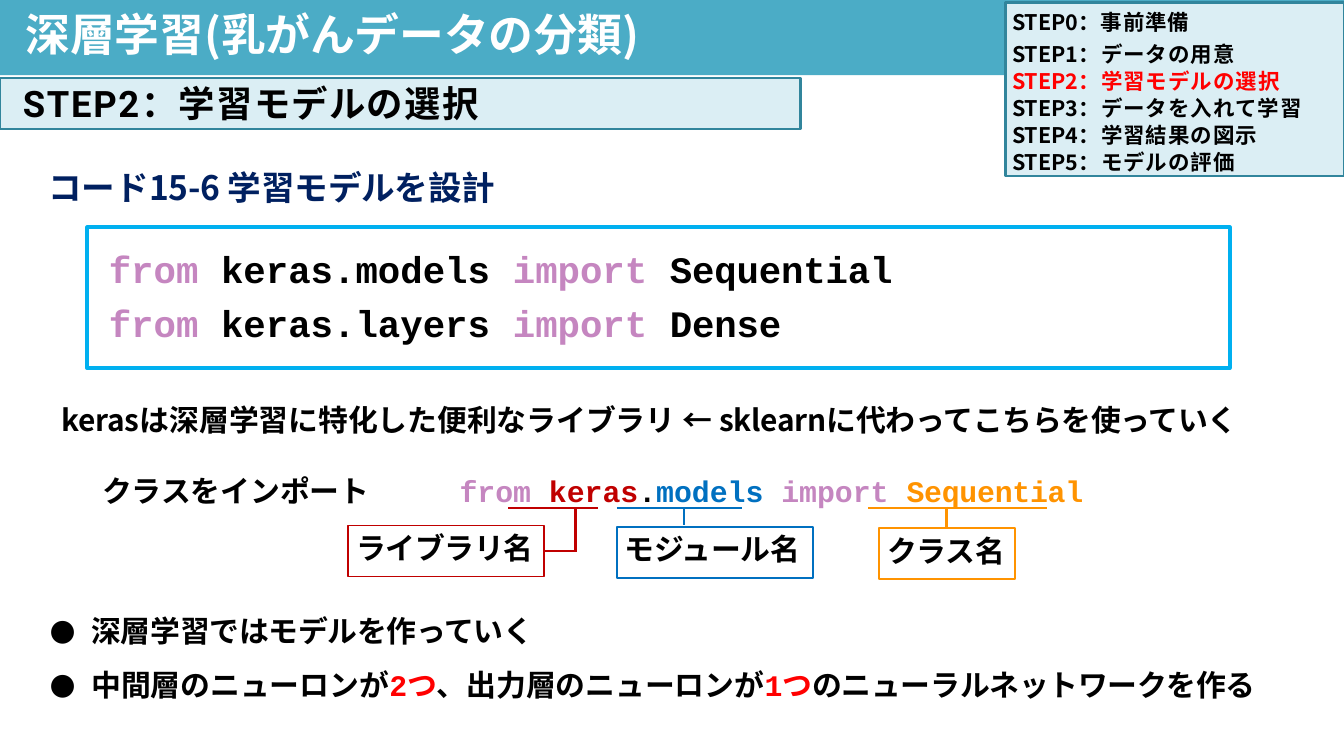
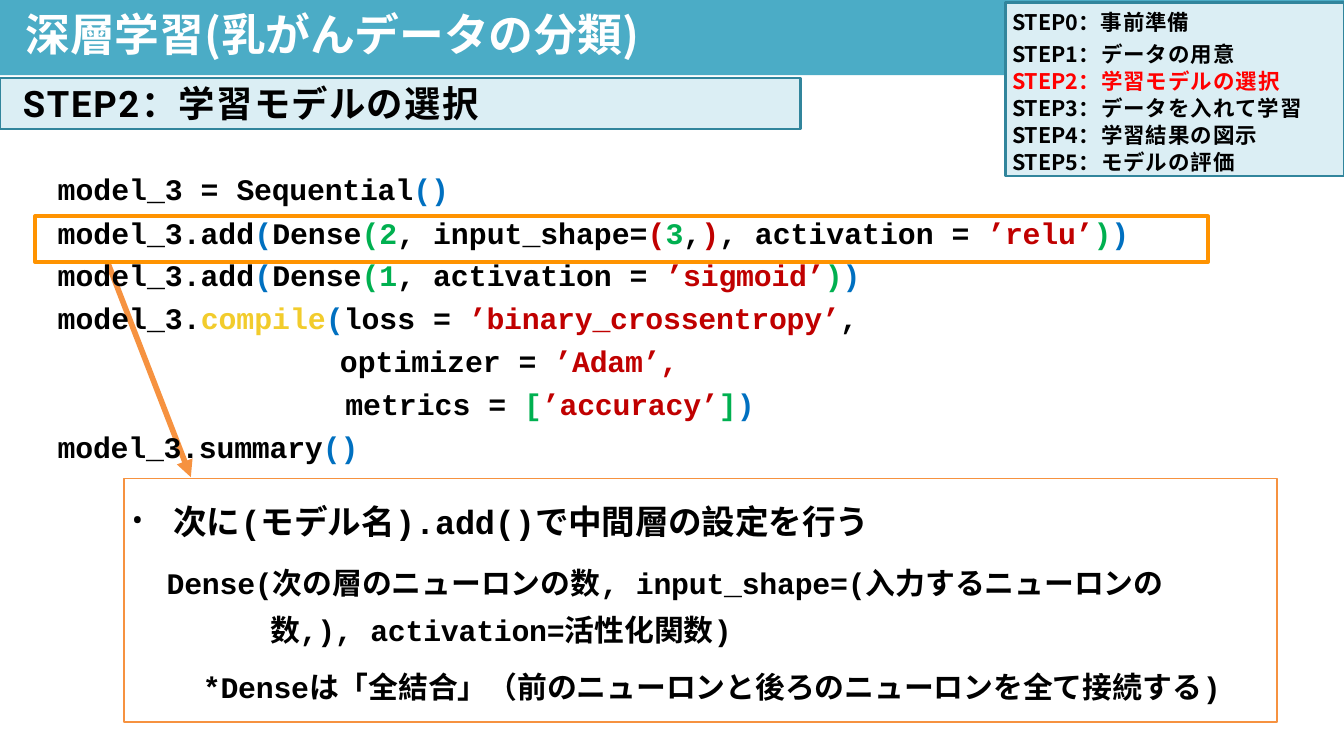
from copy import deepcopy
from typing import NamedTuple

from lxml import etree
from pptx import Presentation
from pptx import util as u
from pptx.dml.color import RGBColor
from pptx.enum import shapes, text
from pptx.oxml.ns import qn

# Shared style: 100 px to the inch
PX = 9144
SANS, MONO, HEADING = "Noto Sans CJK JP", "Courier New", "Roboto"
COLORS = {
    "ink": "000000", "white": "FFFFFF", "navy": "002060", "red": "FF0000",
    "band": "4BACC6", "pale": "DBEEF4", "teal": "31859C", "sky": "00B0F0",
    "keyword": "C586C0", "crimson": "C00000", "blue": "0070C0",
    "amber": "FF9300", "orange": "F69240", "green": "00B050", "yellow": "F2CC2C",
}
TIGHT = -0.1
STEPS = ("事前準備", "データの用意", "学習モデルの選択", "データを入れて学習",
         "学習結果の図示", "モデルの評価")
CURRENT_STEP = 2


class Run(NamedTuple):
    words: str
    color: str = "ink"
    font: str = SANS
    spacing: float = 0  # points


class Para(NamedTuple):
    runs: list[Run]
    size: float = 16
    margin: int = 1
    indent: int = 0
    before: float = 1
    line: float | u.Length | None = None
    bullet: str = ""
    tab: int = 0


class Panel(NamedTuple):
    left: int
    top: int
    width: int
    height: int
    paras: list[Para] = []
    inset: int = 1
    outline: str = ""
    weight: float = 1
    fill: str = ""


class Line(NamedTuple):
    x1: int
    y1: int
    x2: int
    y2: int
    color: str
    weight: float = 1.5
    arrow: bool = False


class Label(NamedTuple):
    words: str
    color: str
    left: int
    top: int
    width: int


def px(length: int) -> u.Emu:
    return u.Emu(length * PX)


def rgb(name: str) -> RGBColor:
    return RGBColor.from_string(COLORS[name])


def code(*parts: tuple) -> list[Run]:
    """Each part is words, colour and, where needed, spacing."""
    return [Run(words, color, MONO, *spacing) for words, color, *spacing in parts]


# Text
def write_run(paragraph, run: Run, size: float) -> None:
    for words in run.words.splitlines():
        piece = paragraph.add_run()
        piece.text = words
        font = piece.font
        font.size, font.bold, font.name = u.Pt(size), True, run.font
        font.color.rgb = rgb(run.color)
        props = piece._r.rPr
        etree.SubElement(props, qn("a:ea"), typeface=SANS)
        if run.spacing:
            props.set("spc", str(round(run.spacing * 100)))
        if run.words.endswith("\n"):
            paragraph.add_line_break()
            paragraph._p[-1].append(deepcopy(props))


def write_paras(frame, paras: list[Para], inset: int) -> None:
    frame.word_wrap = True
    frame.auto_size = text.MSO_AUTO_SIZE.NONE
    frame.vertical_anchor = text.MSO_ANCHOR.TOP
    frame.margin_left = frame.margin_right = frame.margin_bottom = 0
    frame.margin_top = px(inset)
    for number, para in enumerate(paras):
        paragraph = frame.add_paragraph() if number else frame.paragraphs[0]
        props = paragraph._p.get_or_add_pPr()
        props.set("marL", str(px(para.margin)))
        props.set("indent", str(px(para.indent)))
        if para.bullet:
            etree.SubElement(props, qn("a:buFont"), typeface=HEADING)
            etree.SubElement(props, qn("a:buChar"), char=para.bullet)
        if para.tab:
            props.set("defTabSz", str(px(para.tab)))
            tabs = etree.SubElement(props, qn("a:tabLst"))
            etree.SubElement(tabs, qn("a:tab"), pos=str(px(para.tab)), algn="l")
        paragraph.alignment = text.PP_ALIGN.LEFT
        paragraph.space_before = u.Pt(para.before)
        if para.line:
            paragraph.line_spacing = para.line
        for run in para.runs:
            write_run(paragraph, run, para.size)


# Shapes
def draw_panel(slide, panel: Panel) -> None:
    area = [px(side) for side in panel[:4]]
    if panel.outline or panel.fill:
        shape = slide.shapes.add_shape(shapes.MSO_SHAPE.RECTANGLE, *area)
        shape.shadow.inherit = False
        if panel.fill:
            shape.fill.solid()
            shape.fill.fore_color.rgb = rgb(panel.fill)
        else:
            shape.fill.background()
        if panel.outline:
            shape.line.color.rgb = rgb(panel.outline)
            shape.line.width = u.Pt(panel.weight)
        else:
            shape.line.fill.background()
    else:
        shape = slide.shapes.add_textbox(*area)
    if panel.paras:
        write_paras(shape.text_frame, panel.paras, panel.inset)


def draw_line(slide, line: Line) -> None:
    connector = slide.shapes.add_connector(
        shapes.MSO_CONNECTOR.STRAIGHT, *[px(end) for end in line[:4]])
    connector.line.color.rgb = rgb(line.color)
    connector.line.width = u.Pt(line.weight)
    if line.arrow:
        etree.SubElement(connector.line._get_or_add_ln(), qn("a:tailEnd"), type="triangle")
    etree.SubElement(connector._element.spPr, qn("a:effectLst"))


# Header shared by both slides
def step_runs(number: int) -> list[Run]:
    color = "red" if number == CURRENT_STEP else "ink"
    end = "\n" if 0 < number < len(STEPS) - 1 else ""
    spacing = 0.5 if number else 0.4
    return [Run(f"STEP{number}", color), Run(f"：{STEPS[number]}{end}", color, spacing=spacing)]


def draw_header(slide) -> None:
    draw_panel(slide, Panel(0, 0, 1000, 56, fill="band"))
    title = slide.shapes.title
    title.left, title.top, title.width, title.height = px(18), px(4), px(544), px(36)
    write_paras(title.text_frame,
                [Para([Run("深層学習(乳がんデータの分類)", "white", spacing=TIGHT)], 24)], 1)
    slide.shapes._spTree.append(title._element)  # bring in front of the band

    draw_panel(slide, Panel(0, 58, 596, 38, outline="teal", weight=1.5, fill="pale"))
    heading = [Run(f"STEP{CURRENT_STEP}", font=HEADING, spacing=0.9),
               Run(f"：{STEPS[CURRENT_STEP]}", font=HEADING, spacing=0.6)]
    draw_panel(slide, Panel(16, 58, 353, 35, [Para(heading, 19.5)], 2))

    later = [run for number in range(1, len(STEPS)) for run in step_runs(number)]
    paras = [Para(runs, 11.5, 5, before=3, line=1.04) for runs in (step_runs(0), later)]
    draw_panel(slide, Panel(748, 2, 252, 129, paras, 4, "teal", 1.5, "pale"))


# Slide 1: importing the classes
def build_import_slide(slide) -> None:
    imports = code(
        ("from ", "keyword"), ("keras.models ", "ink"),
        ("import ", "keyword"), ("Sequential\n", "ink", TIGHT),
        ("from ", "keyword"), ("keras.layers ", "ink"),
        ("import ", "keyword"), ("Dense", "ink", TIGHT))
    draw_panel(slide, Panel(65, 169, 850, 105, [Para(imports, 20, 16, before=4.8, line=1.21)],
                            7, "sky", 2))
    draw_panel(slide, Panel(35, 123, 348, 33, [
        Para([Run("コード", "navy"), Run("15-6 学習モデルを設計", "navy", spacing=TIGHT)], 18)]))

    network = [Run("中間層のニューロンが"), Run("2", "red", MONO, TIGHT), Run("つ", "red"),
               Run("、出⼒層のニューロンが"), Run("1", "red", MONO, TIGHT), Run("つ", "red"),
               Run("のニューラルネットワークを作る", spacing=TIGHT)]
    draw_panel(slide, Panel(35, 441, 905, 83, [
        Para([Run("深層学習ではモデルを作っていく", spacing=TIGHT)], 16, 33, -31, 10.8, bullet="●"),
        Para(network, 16, 33, -31, 9.8, bullet="●")], 15))

    # Anatomy of the import statement
    statement = code(
        ("from ", "keyword"), ("keras", "crimson"), (".", "ink"), ("models ", "blue"),
        ("import ", "keyword"), ("Sequential", "amber", TIGHT))
    draw_panel(slide, Panel(45, 298, 901, 82, [
        Para([Run("keras", spacing=TIGHT),
              Run("は深層学習に特化した便利なライブラリ ← "),
              Run("sklearnに代わってこちらを使っていく", spacing=TIGHT)]),
        Para([Run("クラスをインポー"), Run("ト\t", spacing=-0.5), *statement],
             16, 31, before=18.9, tab=266)]))
    for label in (Label("ライブラリ名", "crimson", 259, 391, 146),
                  Label("モジュール名", "blue", 459, 392, 146),
                  Label("クラス名", "amber", 654, 393, 101)):
        draw_panel(slide, Panel(label.left, label.top, label.width, 38,
                                [Para([Run(label.words, spacing=TIGHT)], 16, 6, before=2.1)],
                                3, label.color))
    for line in (Line(378, 378, 445, 378, "crimson", 1),
                 Line(428, 379, 428, 411, "crimson"),
                 Line(428, 410, 405, 410, "crimson"),
                 Line(459, 378, 552, 378, "blue", 1),
                 Line(509, 379, 509, 391, "blue"),
                 Line(646, 378, 779, 378, "amber", 1),
                 Line(704, 377, 704, 393, "amber")):
        draw_line(slide, line)


# Slide 2: defining the model
def build_model_slide(slide) -> None:
    add_call = [Run("次に"), Run("(", "ink", MONO, TIGHT), Run("モデル名"),
                Run(").add()", "ink", MONO, TIGHT), Run("で中間層の設定を⾏う", spacing=TIGHT)]
    dense_call = [Run("Dense(", "ink", MONO, TIGHT), Run("次の層のニューロンの数"),
                  Run(", input_shape=(", "ink", MONO, TIGHT),
                  Run("⼊⼒するニューロンの\n"), Run("数"),
                  Run(",), ", "ink", MONO, -0.2), Run("activation=", "ink", MONO, TIGHT),
                  Run("活性化関数"), Run(")", "ink", MONO, -0.5)]
    dense_note = [Run("*Dense", "ink", MONO, TIGHT),
                  Run("は「全結合」（前のニューロンと後ろのニューロンを全て接続する"),
                  Run(")", "ink", MONO, -0.5)]
    draw_panel(slide, Panel(92, 356, 858, 181, [
        Para(add_call, 18, 37, -31, 12.6, bullet="•"),
        Para(dense_call, 16, 109, -77, 6.3, 1.31),
        Para(dense_note, 16, 59, before=11.8)], 17, "orange"))
    draw_line(slide, Line(80, 195, 142, 355, "orange", 3, True))

    # Code listing
    draw_panel(slide, Panel(42, 126, 297, 29, [
        Para(code(("model_3 = ", "ink"), ("Sequential", "ink", TIGHT), ("()", "blue", TIGHT)))]))
    hidden_layer = code(
        ("model_3.add", "ink"), ("(", "blue"), ("Dense", "ink"), ("(2", "green"),
        (", input_shape=", "ink"), ("(", "crimson"), ("3", "green"), (",", "ink"),
        (")", "crimson"), (", activation = ", "ink"), ("’relu’", "crimson", TIGHT),
        (")", "green", TIGHT), (")", "blue", TIGHT))
    draw_panel(slide, Panel(26, 161, 873, 34, [
        Para(hidden_layer, 16, 17, before=0, line=u.Pt(18.1))], 0, "amber", 2))
    output_layer = code(
        ("model_3.add", "ink"), ("(", "blue"), ("Dense", "ink"), ("(1", "green"),
        (", activation = ", "ink"), ("’sigmoid’", "crimson", TIGHT),
        (")", "green", TIGHT), (")\n", "blue", TIGHT),
        ("model_3.", "ink"), ("compile", "yellow"), ("(", "blue"), ("loss = ", "ink"),
        ("’binary_crossentropy’", "crimson", TIGHT), (",", "ink", TIGHT))
    options = code(
        ("optimizer = ", "ink"), ("’Adam’,\n", "crimson", TIGHT), ("metrics = ", "ink"),
        ("[", "green", TIGHT), ("’accuracy’", "crimson", TIGHT),
        ("]", "green", TIGHT), (")", "blue", TIGHT))
    summary = code(("model_3.summary", "ink", TIGHT), ("()", "blue", TIGHT))
    draw_panel(slide, Panel(42, 185, 604, 162, [
        Para(output_layer, line=1.2),
        Para(options, 16, 215, -4, 0.2, 1.19),
        Para(summary, before=3.9)]))


def main() -> None:
    deck = Presentation()
    deck.slide_width = px(1000)
    deck.slide_height = u.Emu(deck.slide_width * 9 // 16)
    title_only = deck.slide_layouts[5]
    for build in (build_import_slide, build_model_slide):
        slide = deck.slides.add_slide(title_only)
        build(slide)
        draw_header(slide)
    deck.save("out.pptx")


if __name__ == "__main__":
    main()
